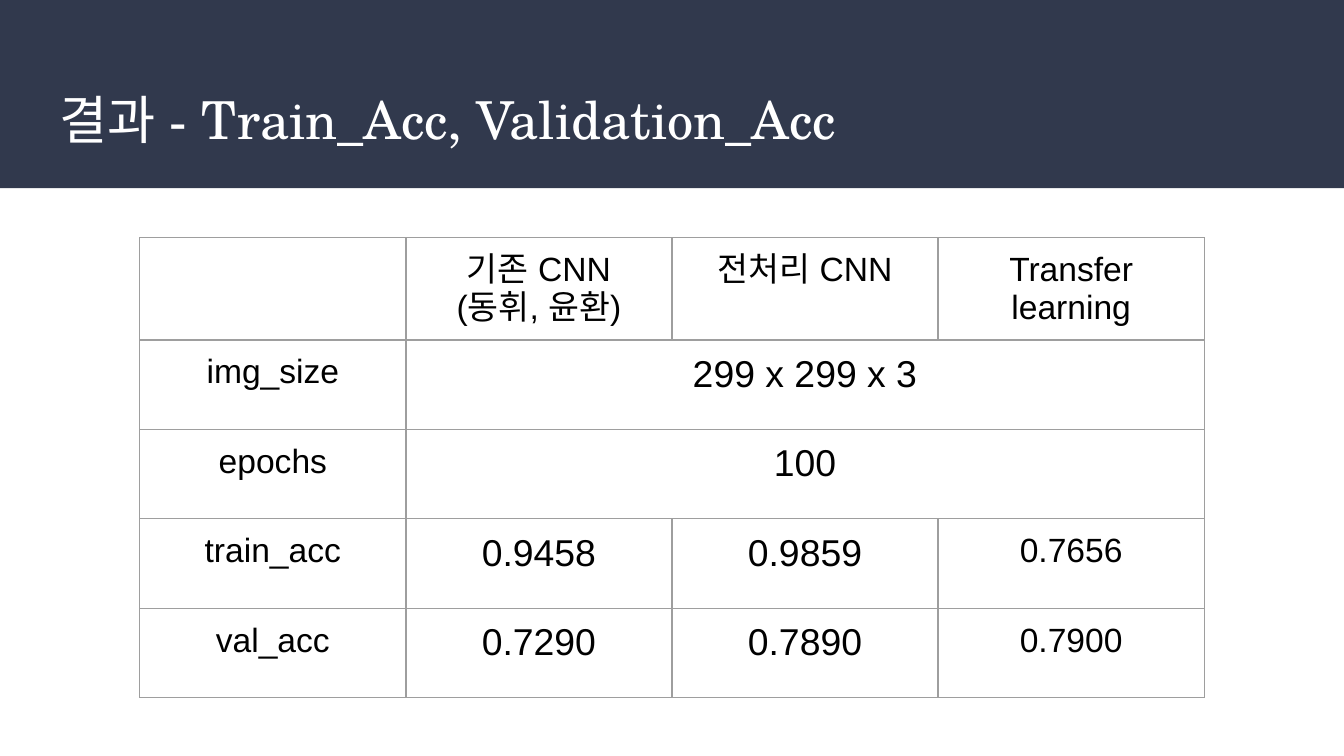
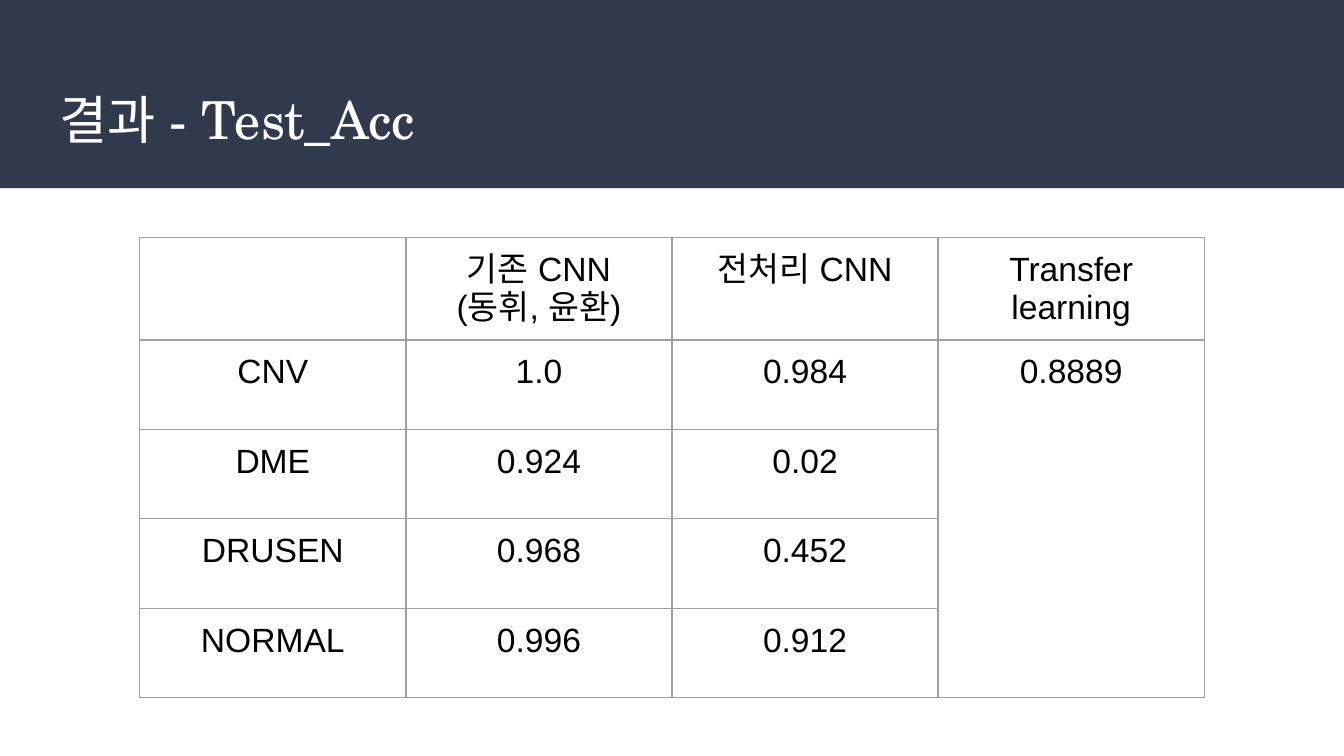
"""Build two result slides comparing the accuracy of three models."""
from lxml.etree import SubElement
from pptx import Presentation
from pptx.dml.color import RGBColor
from pptx.enum.shapes import MSO_SHAPE
from pptx.enum.text import MSO_ANCHOR, MSO_AUTO_SIZE, PP_ALIGN
from pptx.oxml.ns import qn
from pptx.util import Inches, Pt

COLORS = {"band": "31394D", "title": "FFFFFF", "text": "000000", "border": "9E9E9E"}
TITLE_FONT = "TeX Gyre Schola"
BODY_FONT = "Arial"
INSET = Inches(0.1)
COLUMN_WIDTH = Inches(1.98)
ROW_HEIGHT = Inches(2.66) // 4
MODELS = ["전처리 CNN", "Transfer learning"]
TRAINING_GRID = [
    ["", "기존 CNN\v(동휘, 윤환)", *MODELS],
    ["img_size", "299 x 299 x 3", "", ""],
    ["epochs", "100", "", ""],
    ["train_acc", "0.9458", "0.9859", "0.7656"],
    ["val_acc", "0.7290", "0.7890", "0.7900"],
]
TEST_GRID = [
    ["", "기존 CNN\n(동휘, 윤환)", *MODELS],
    ["CNV", "1.0", "0.984", "0.8889"],
    ["DME", "0.924", "0.02", ""],
    ["DRUSEN", "0.968", "0.452", ""],
    ["NORMAL", "0.996", "0.912", ""],
]


def add_span(para, text, font, size, color):
    span = para.add_run()
    span.text = text
    span.font.name = font
    span.font.size = Pt(size)
    span.font.color.rgb = RGBColor.from_string(COLORS[color])
    SubElement(span.font._element, qn("a:ea"), typeface=font)


def set_insets(target):
    target.margin_left = target.margin_right = INSET
    target.margin_top = target.margin_bottom = INSET


def add_layout_band(page, width):
    band = page.shapes.add_shape(MSO_SHAPE.RECTANGLE, 0, 0, width, Inches(1.4))
    band.shadow.inherit = False
    band.fill.solid()
    band.fill.fore_color.rgb = RGBColor.from_string(COLORS["band"])
    band.line.fill.background()
    page.slide_layout.shapes.element.insert(2, band.element)


def set_title(page, text):
    title = page.shapes.title
    title.left, title.top = Inches(0.34), Inches(0.55)
    title.width, title.height = Inches(9.32), Inches(0.68)
    frame = title.text_frame
    set_insets(frame)
    frame.word_wrap = True
    frame.auto_size = MSO_AUTO_SIZE.NONE
    frame.vertical_anchor = MSO_ANCHOR.TOP
    para = frame.paragraphs[0]
    para.alignment = PP_ALIGN.LEFT
    add_span(para, text, TITLE_FONT, 28, "title")


def set_borders(cell):
    properties = cell._tc.get_or_add_tcPr()
    for side in ("a:lnL", "a:lnR", "a:lnT", "a:lnB"):
        line = SubElement(properties, qn(side), w=str(Pt(0.75)))
        fill = SubElement(line, qn("a:solidFill"))
        SubElement(fill, qn("a:srgbClr"), val=COLORS["border"])


def fill_cell(cell, text, size):
    set_insets(cell)
    set_borders(cell)
    cell.fill.background()
    if not text:
        return
    frame = cell.text_frame
    for index, block in enumerate(text.split("\n")):
        para = frame.add_paragraph() if index else frame.paragraphs[0]
        para.alignment = PP_ALIGN.CENTER
        for position, line in enumerate(block.split("\v")):
            if position:
                para.add_line_break()
            add_span(para, line, BODY_FONT, size, "text")


def add_result_table(page, grid, merges, cnn_size):
    column_count = len(grid[0])
    table = page.shapes.add_table(
        len(grid), column_count, Inches(1.04), Inches(1.77),
        COLUMN_WIDTH * column_count, ROW_HEIGHT * len(grid)).table
    table.first_row = False
    table.horz_banding = False
    for column in table.columns:
        column.width = COLUMN_WIDTH
    for row_index, values in enumerate(grid):
        table.rows[row_index].height = ROW_HEIGHT
        for column_index, text in enumerate(values):
            is_cnn_value = row_index > 0 and column_index in (1, 2)
            fill_cell(table.cell(row_index, column_index), text,
                      cnn_size if is_cnn_value else 18)
    for first, last in merges:
        table.cell(*first).merge(table.cell(*last))


def main():
    deck = Presentation()
    deck.slide_width = Inches(10)
    deck.slide_height = deck.slide_width * 9 // 16
    layout = deck.slide_layouts.get_by_name("Title Only")

    training_page = deck.slides.add_slide(layout)
    add_layout_band(training_page, deck.slide_width)
    set_title(training_page, "결과 - Train_Acc, Validation_Acc")
    add_result_table(training_page, TRAINING_GRID,
                     [((1, 1), (1, 3)), ((2, 1), (2, 3))], cnn_size=20)

    test_page = deck.slides.add_slide(layout)
    set_title(test_page, "결과 - Test_Acc")
    add_result_table(test_page, TEST_GRID, [((1, 3), (4, 3))], cnn_size=18)

    deck.save("out.pptx")


if __name__ == "__main__":
    main()
